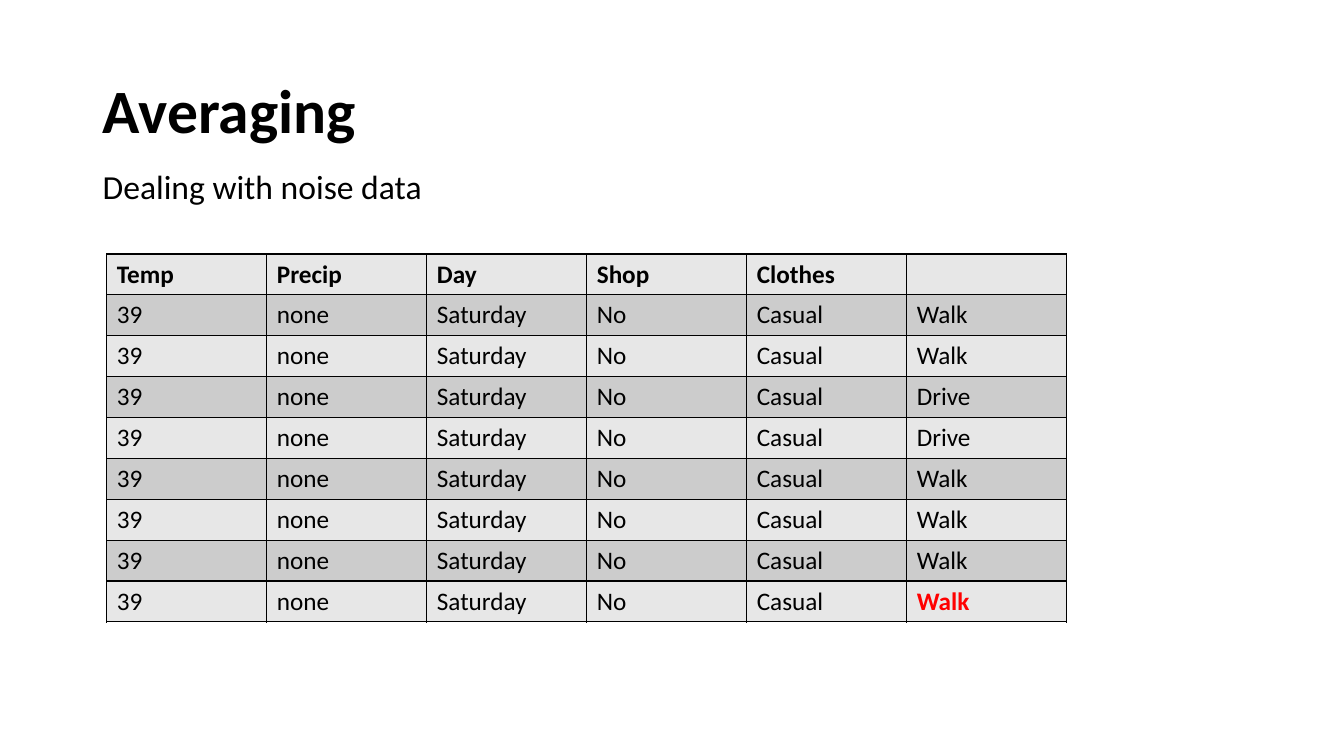
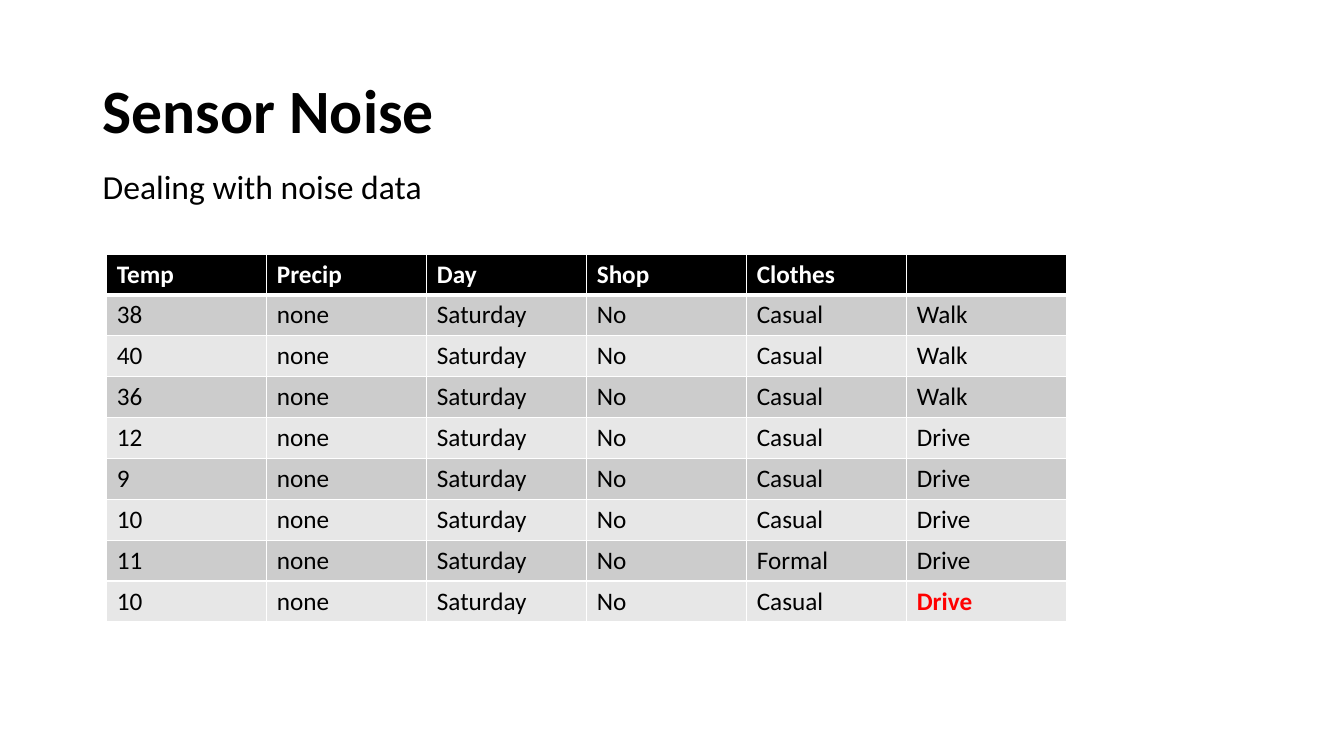
from dataclasses import dataclass

from lxml import etree
from pptx import Presentation
from pptx.dml.color import RGBColor
from pptx.enum.text import MSO_ANCHOR, MSO_AUTO_SIZE, PP_ALIGN
from pptx.oxml.ns import qn
from pptx.presentation import Presentation as Deck
from pptx.slide import Slide
from pptx.table import _Cell
from pptx.text.text import TextFrame
from pptx.util import Inches, Pt

LEFT = PP_ALIGN.LEFT
MIDDLE = MSO_ANCHOR.MIDDLE
FIT_SHAPE = MSO_AUTO_SIZE.SHAPE_TO_FIT_TEXT
TITLE_ONLY_LAYOUT = 5


@dataclass(frozen=True)
class Theme:
    font: str = "Calibri"
    black: str = "000000"
    white: str = "FFFFFF"
    highlight: str = "FF0000"
    dark_band: str = "CCCCCC"
    light_band: str = "E7E7E7"
    title_size: int = 44
    subtitle_size: int = 24
    table_size: int = 18


THEME = Theme()


@dataclass(frozen=True)
class TableStyle:
    header_fill: str
    header_text: str
    border: str
    header_rule: float  # width in points of the line below the header


@dataclass(frozen=True)
class Observation:
    temperature: int
    decision: str
    clothes: str = "Casual"

    def cells(self) -> list[str]:
        return [str(self.temperature), "none", "Saturday", "No",
                self.clothes, self.decision]


@dataclass(frozen=True)
class TableSlide:
    title: str
    style: TableStyle
    observations: list[Observation]


HEADERS = ["Temp", "Precip", "Day", "Shop", "Clothes", ""]
SUBTITLE = "Dealing with noise data"
GRID_STYLE = TableStyle(THEME.light_band, THEME.black, THEME.black, 1)
DARK_HEADER_STYLE = TableStyle(THEME.black, THEME.white, THEME.white, 3)

SLIDES = [
    TableSlide("Averaging", GRID_STYLE, [
        Observation(39, decision) for decision in
        ["Walk", "Walk", "Drive", "Drive", "Walk", "Walk", "Walk", "Walk"]
    ]),
    TableSlide("Sensor Noise", DARK_HEADER_STYLE, [
        Observation(38, "Walk"),
        Observation(40, "Walk"),
        Observation(36, "Walk"),
        Observation(12, "Drive"),
        Observation(9, "Drive"),
        Observation(10, "Drive"),
        Observation(11, "Drive", "Formal"),
        Observation(10, "Drive"),
    ]),
]


def set_text(text_frame: TextFrame, text: str, size: int,
             color: str = THEME.black, bold: bool = False) -> None:
    text_frame.text = text
    paragraph = text_frame.paragraphs[0]
    paragraph.alignment = LEFT
    for run in paragraph.runs:
        run.font.name = THEME.font
        run.font.size = Pt(size)
        run.font.bold = bold
        run.font.color.rgb = RGBColor.from_string(color)


def set_borders(cell: _Cell, color: str, top: float, bottom: float) -> None:
    """Draw the four cell borders; must run before the cell is filled."""
    properties = cell._tc.get_or_add_tcPr()
    for side, width in (("L", 1), ("R", 1), ("T", top), ("B", bottom)):
        line = etree.SubElement(properties, qn(f"a:ln{side}"), w=str(Pt(width)))
        fill = etree.SubElement(line, qn("a:solidFill"))
        etree.SubElement(fill, qn("a:srgbClr"), val=color)


def add_heading(slide: Slide, title: str) -> None:
    title_shape = slide.shapes.title
    title_shape.left, title_shape.top = Inches(0.92), Inches(0.4)
    title_shape.width, title_shape.height = Inches(11.5), Inches(1.45)
    title_shape.text_frame.vertical_anchor = MIDDLE
    set_text(title_shape.text_frame, title, THEME.title_size, bold=True)
    title_shape.text_frame.paragraphs[0].line_spacing = 0.9

    subtitle = slide.shapes.add_textbox(
        Inches(0.92), Inches(1.6), Inches(3.4), Inches(0.5))
    subtitle.text_frame.word_wrap = False
    subtitle.text_frame.auto_size = FIT_SHAPE
    set_text(subtitle.text_frame, SUBTITLE, THEME.subtitle_size)


def add_observation_table(slide: Slide, content: TableSlide) -> None:
    rows = [HEADERS] + [item.cells() for item in content.observations]
    style = content.style
    last_row, last_column = len(rows) - 1, len(HEADERS) - 1
    table = slide.shapes.add_table(
        len(rows), len(HEADERS),
        Inches(1.06), Inches(2.52), Inches(9.52), Inches(3.65)).table

    for row_index, row in enumerate(rows):
        is_header = row_index == 0
        band = THEME.dark_band if row_index % 2 else THEME.light_band
        for column_index, text in enumerate(row):
            cell = table.cell(row_index, column_index)
            is_result = (row_index, column_index) == (last_row, last_column)
            set_borders(cell, style.border,
                        top=style.header_rule if row_index == 1 else 1,
                        bottom=style.header_rule if is_header else 1)
            cell.fill.solid()
            cell.fill.fore_color.rgb = RGBColor.from_string(
                style.header_fill if is_header else band)
            color = style.header_text if is_header else THEME.black
            set_text(cell.text_frame, text, THEME.table_size,
                     THEME.highlight if is_result else color,
                     bold=is_header or is_result)


def add_table_slide(presentation: Deck, content: TableSlide) -> None:
    layout = presentation.slide_layouts[TITLE_ONLY_LAYOUT]
    slide = presentation.slides.add_slide(layout)
    add_heading(slide, content.title)
    add_observation_table(slide, content)


def main() -> None:
    presentation = Presentation()
    presentation.slide_width = Inches(13.33)
    presentation.slide_height = Inches(7.5)
    for content in SLIDES:
        add_table_slide(presentation, content)
    presentation.save("out.pptx")


if __name__ == "__main__":
    main()
